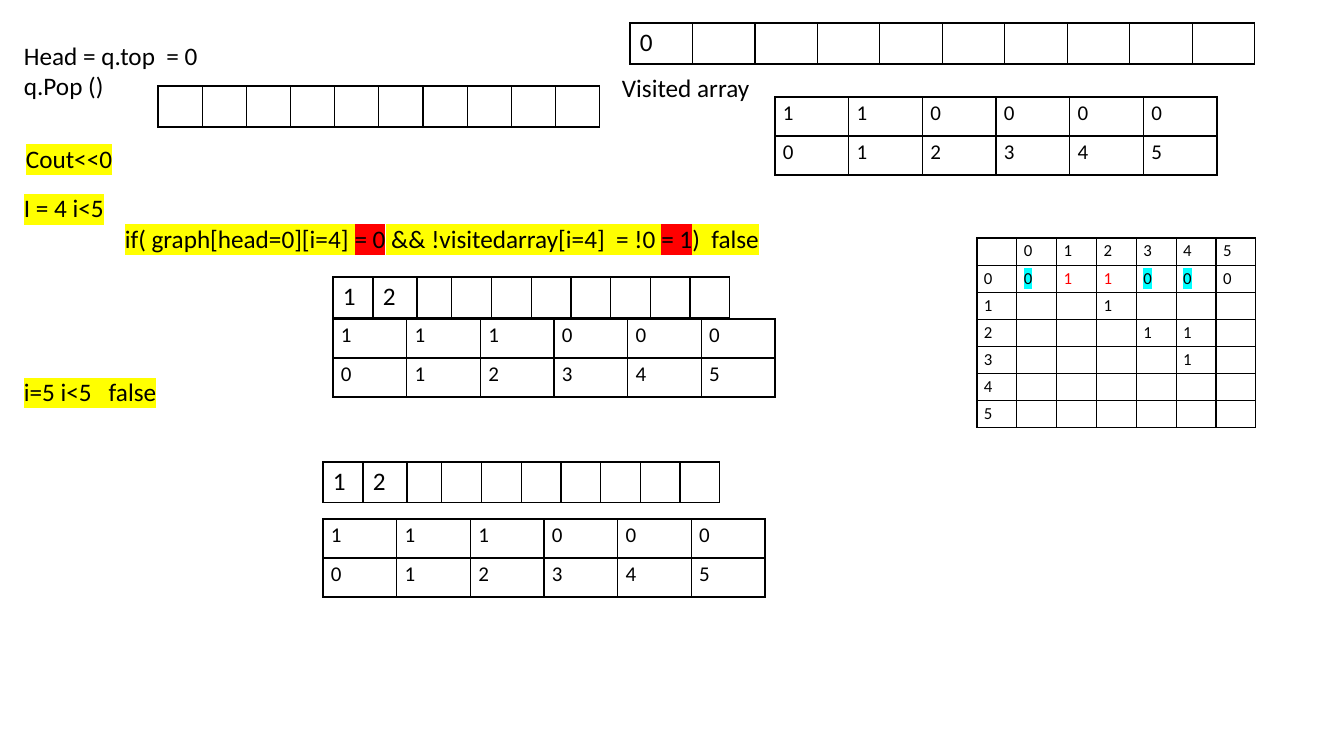
import lxml.etree
import pptx
import pptx.dml.color
import pptx.oxml.ns
import pptx.text.text
import pptx.util

RGBColor = pptx.dml.color.RGBColor
BLACK = RGBColor(0, 0, 0)
RED = RGBColor(255, 0, 0)
YELLOW = RGBColor(255, 255, 0)
CYAN = RGBColor(0, 255, 255)
qn = pptx.oxml.ns.qn


class Board:
    """Draws text and ruled tables on one slide, with lengths in px."""

    font = "Calibri"
    scale = 12192000 / 1344

    def __init__(self, slide):
        self.s = slide

    def emu(self, px):
        return pptx.util.Emu(round(px * self.scale))

    def solid(self, parent, color):
        fill = lxml.etree.SubElement(parent, qn("a:solidFill"))
        lxml.etree.SubElement(fill, qn("a:srgbClr"), val=str(color))

    def fill_paragraph(self, p, runs, size):
        p.font.name = self.font
        p.font.size = pptx.util.Pt(size)
        p.font.color.rgb = BLACK
        for text, highlight, color in runs:
            r = p.add_run()
            r.text = text
            if color:
                r.font.color.rgb = color
            if highlight:
                mark = lxml.etree.SubElement(r._r.get_or_add_rPr(), qn("a:highlight"))
                lxml.etree.SubElement(mark, qn("a:srgbClr"), val=str(highlight))
        if not runs:
            end = pptx.text.text.Font(p._p.get_or_add_endParaRPr())
            end.size = pptx.util.Pt(size)

    def text(self, x, y, w, h, lines, wrap=True):
        box = self.s.shapes.add_textbox(*map(self.emu, (x, y, w, h)))
        tf = box.text_frame
        tf.word_wrap = wrap
        for i, (runs, before, indent) in enumerate(lines):
            p = tf.add_paragraph() if i else tf.paragraphs[0]
            p.space_before = pptx.util.Pt(before)
            if indent:
                p._p.get_or_add_pPr().set("marL", str(self.emu(indent)))
            self.fill_paragraph(p, [(t, hl, None) for t, hl in runs], 18)

    def border(self, cell):
        tc_pr = cell._tc.get_or_add_tcPr()
        for side in "LRTB":
            line = lxml.etree.SubElement(tc_pr, qn("a:ln" + side), w="12700")
            self.solid(line, BLACK)

    def table(self, x, y, w, h, rows, size=18, margins=(10, 5), lead=(), marks=None):
        n = len(rows[0])
        frame = self.s.shapes.add_table(len(rows), n, *map(self.emu, (x, y, w, h)))
        table = frame.table
        table.first_row = table.horz_banding = False
        rest = (w - sum(lead)) / (n - len(lead))
        for i, column in enumerate(table.columns):
            column.width = self.emu(lead[i] if i < len(lead) else rest)
        for i, row in enumerate(rows):
            table.rows[i].height = self.emu(h / len(rows))
            for j, value in enumerate(row):
                cell = table.cell(i, j)
                cell.margin_left = cell.margin_right = self.emu(margins[0])
                cell.margin_top = cell.margin_bottom = self.emu(margins[1])
                self.border(cell)
                cell.fill.background()
                highlight, color = (marks or {}).get((i, j), (None, None))
                runs = [(value, highlight, color)] if value.strip() else []
                self.fill_paragraph(cell.text_frame.paragraphs[0], runs, size)

    def queue(self, x, y, w, h, values="", lead=()):
        self.table(x, y, w, h, [values.ljust(10)], lead=lead)

    def visited(self, x, y, flags):
        self.table(x, y, 442, 78, [flags, "012345"], size=15, margins=(8, 4))


def main():
    prs = pptx.Presentation()
    prs.slide_width = pptx.util.Emu(12192000)
    prs.slide_height = pptx.util.Emu(6858000)
    b = Board(prs.slides.add_slide(prs.slide_layouts[6]))

    b.text(612, 67, 149, 40, [([("Visited array", None)], 0, 0)], wrap=False)
    b.queue(630, 23, 625, 41, "0")
    condition = [
        ("if( graph[head=0][i=4] ", YELLOW),
        ("= 0", RED),
        (" && !visitedarray[i=4]  = !0 ", YELLOW),
        ("= 1", RED),
        (")  false", YELLOW),
    ]
    b.text(14, 35, 1123, 591, [
        ([("Head = q.top  = 0", None)], 0, 0),
        ([("q.Pop ()", None)], 0, 0),
        ([("I = 4 i<5", YELLOW)], 66, 0),
        (condition, 0, 101),
        ([("i=5 i<5   false", YELLOW)], 88, 0),
    ])
    b.queue(158, 86, 442, 41)

    graph = [" 012345", "0011000", "1  1   ", "2   11 ", "3    1 ", "4      ", "5      "]
    marks = {(1, j): (CYAN, None) for j in (1, 4, 5)}
    marks.update({(1, j): (None, RED) for j in (2, 3)})
    b.table(977, 238, 279, 190, graph, size=12, margins=(7, 3), marks=marks)

    for x, queue_y, visited_y in ((333, 277, 319), (323, 462, 519)):
        b.queue(x, queue_y, 397, 40, "12", lead=(40, 44, 35))
        b.visited(x, visited_y, "111000")
    b.visited(775, 97, "110000")
    b.text(16, 138, 672, 40, [([("Cout<<0", YELLOW)], 0, 0)])
    prs.save("out.pptx")


if __name__ == "__main__":
    main()
